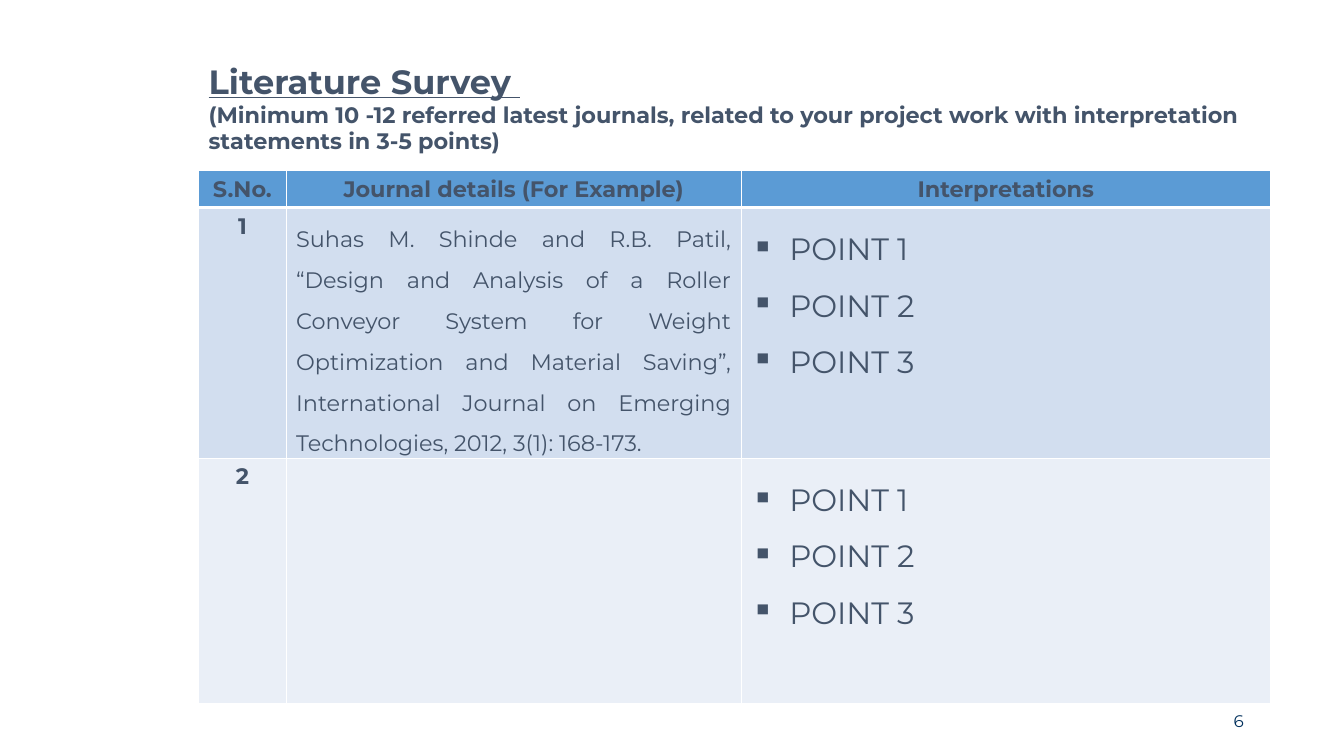
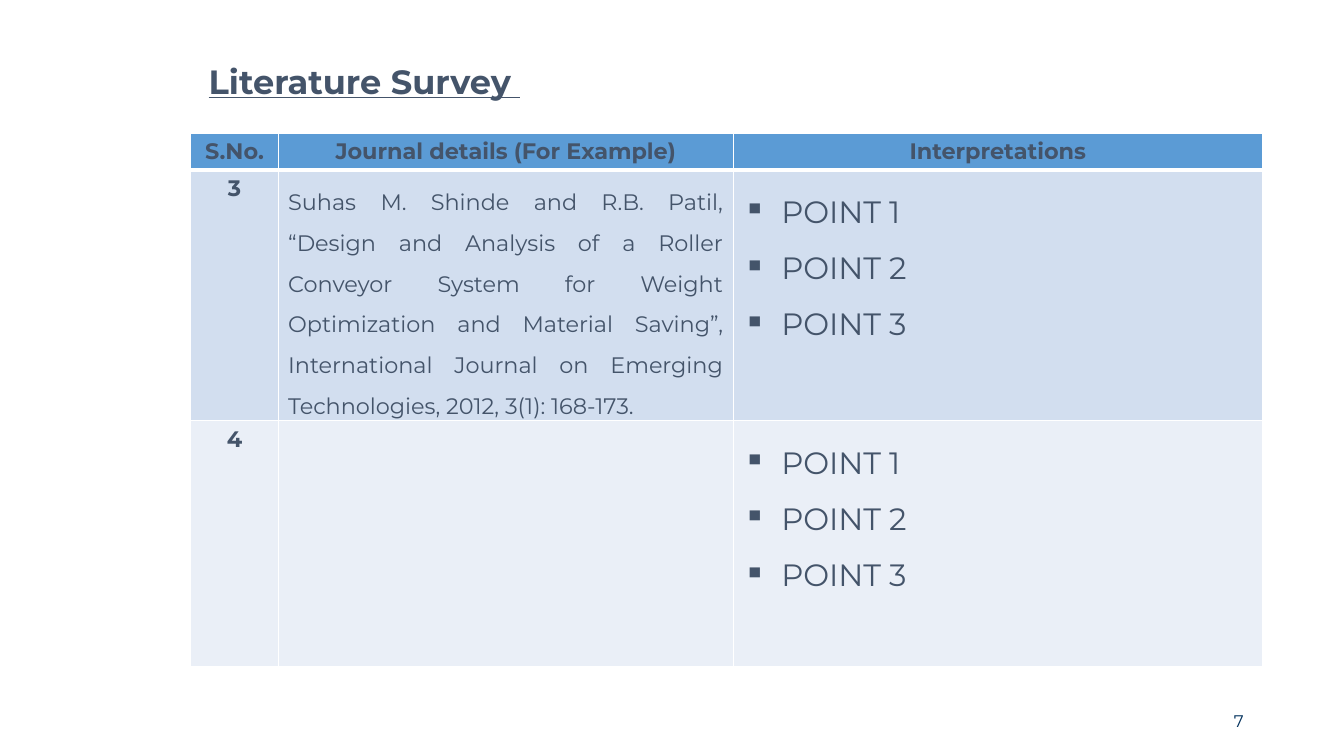
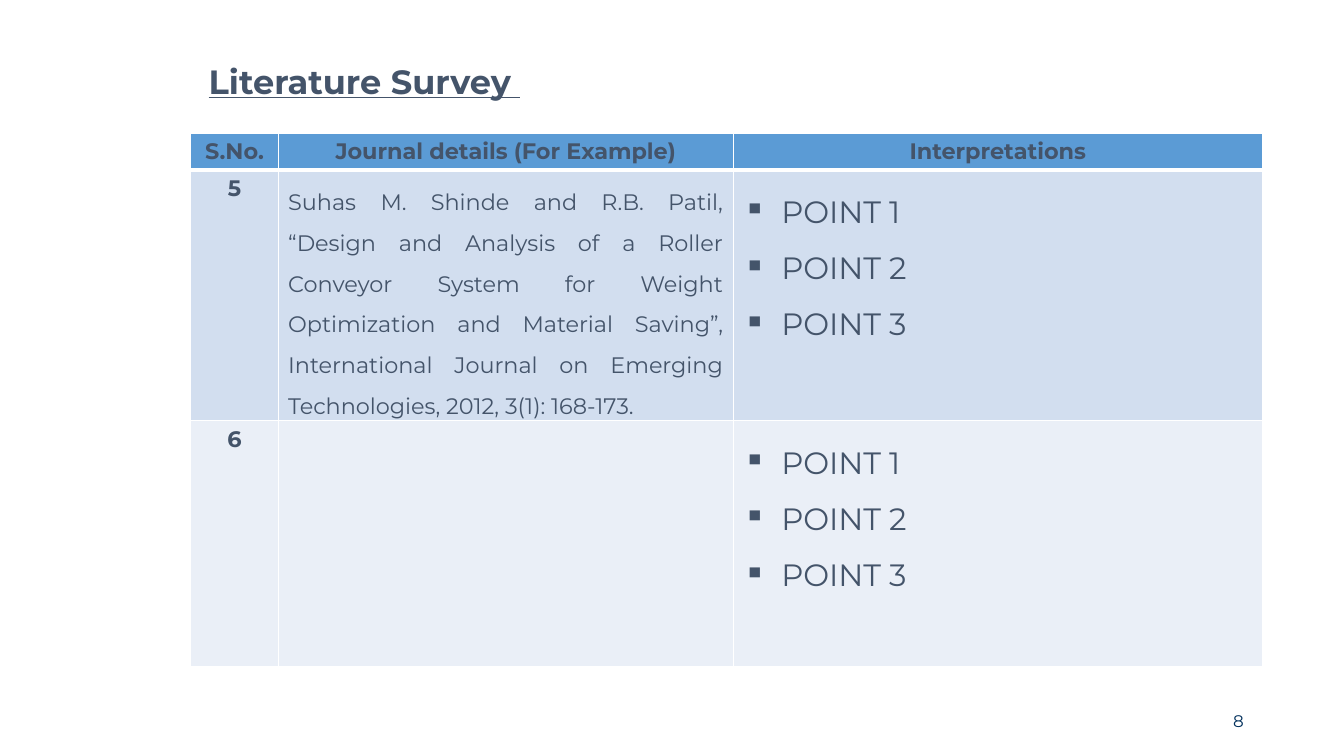
import dataclasses
import typing

import lxml.etree
import pptx
import pptx.dml.color
import pptx.enum.text
import pptx.oxml.ns
import pptx.presentation
import pptx.slide
import pptx.table
import pptx.text.text
import pptx.util

Pt = pptx.util.Pt
Align = pptx.enum.text.PP_ALIGN

FONT = "Montserrat"
INK = "44546A"
PAGE_INK = "00305C"
WHITE = "FFFFFF"
HEADER_FILL = "5B9BD5"
BAND_FILLS = ("D2DEEF", "EAEFF7")

TITLE = "Literature Survey "
HEADINGS = ("S.No.", "Journal details (For Example)", "Interpretations")
POINTS = ("POINT 1", "POINT 2", "POINT 3")
CITATION = (
    "Suhas M. Shinde and R.B. Patil, “Design and Analysis of a Roller Conveyor "
    "System for Weight Optimization and Material Saving”, International Journal "
    "on Emerging Technologies, 2012, 3(1): 168-173."
)
GUIDANCE = (
    "(Minimum 10 -12 referred latest journals, related to your project work "
    "with interpretation statements in 3-5 points)"
)

TEXT_LEFT = 142
TEXT_WIDTH = 753.5
COLUMN_WIDTHS = (62.4, 325.2, 377.8)
ROW_HEIGHTS = (26.5, 179.2, 175.4)
BULLET_INDENT = 27
THIN, THICK = 1, 3


@dataclasses.dataclass(frozen=True)
class TextStyle:
    size: float
    color: str = INK
    bold: bool = False
    underline: bool = False
    align: Align = Align.LEFT
    spacing: float = 1.0
    bullet: bool = False


@dataclasses.dataclass(frozen=True)
class SurveyPage:
    number: int
    first_entry: int
    table_left: float
    table_top: float
    guidance: str = ""


TITLE_STYLE = TextStyle(24, bold=True, underline=True, spacing=2.0)
GUIDANCE_STYLE = TextStyle(16, bold=True)
PAGE_STYLE = TextStyle(12, PAGE_INK, align=Align.RIGHT)
LABEL_STYLE = TextStyle(16, bold=True, align=Align.CENTER)
CITATION_STYLE = TextStyle(16, align=Align.JUSTIFY, spacing=1.5)
POINT_STYLE = TextStyle(22, spacing=1.5, bullet=True)

PAGES = (
    SurveyPage(6, 1, 142, 121.7, GUIDANCE),
    SurveyPage(7, 3, 136.3, 95),
    SurveyPage(8, 5, 136.3, 95),
)

Line = typing.Tuple[str, TextStyle]


def rgb(color: str) -> pptx.dml.color.RGBColor:
    return pptx.dml.color.RGBColor.from_string(color)


def add_child(parent: typing.Any, tag: str, **attributes: str) -> typing.Any:
    return lxml.etree.SubElement(parent, pptx.oxml.ns.qn(tag), attributes)


def write_lines(frame: pptx.text.text.TextFrame, lines: typing.Sequence[Line]) -> None:
    for index, (text, style) in enumerate(lines):
        paragraph = frame.paragraphs[0] if index == 0 else frame.add_paragraph()
        paragraph.alignment = style.align
        paragraph.line_spacing = style.spacing
        if style.bullet:
            properties = paragraph._p.get_or_add_pPr()
            indent = Pt(BULLET_INDENT)
            properties.set("marL", str(indent))
            properties.set("indent", str(-indent))
            add_child(properties, "a:buChar", char="▪")
        run = paragraph.add_run()
        run.text = text
        run.font.name = FONT
        run.font.size = Pt(style.size)
        run.font.bold = style.bold
        run.font.underline = style.underline
        run.font.color.rgb = rgb(style.color)


def add_text(
    slide: pptx.slide.Slide,
    left: float,
    top: float,
    width: float,
    height: float,
    lines: typing.Sequence[Line],
) -> pptx.text.text.TextFrame:
    frame = slide.shapes.add_textbox(Pt(left), Pt(top), Pt(width), Pt(height)).text_frame
    frame.word_wrap = True
    write_lines(frame, lines)
    return frame


def fill_cell(
    cell: pptx.table._Cell, fill: str, top: float, bottom: float, lines: typing.Sequence[Line]
) -> None:
    properties = cell._tc.get_or_add_tcPr()
    sides = (("a:lnL", THIN), ("a:lnR", THIN), ("a:lnT", top), ("a:lnB", bottom))
    for tag, width in sides:
        border = add_child(properties, tag, w=str(Pt(width)))
        add_child(add_child(border, "a:solidFill"), "a:srgbClr", val=WHITE)
    cell.fill.solid()
    cell.fill.fore_color.rgb = rgb(fill)
    cell.margin_bottom = Pt(0) if (CITATION, CITATION_STYLE) in lines else Pt(3.6)
    write_lines(cell.text_frame, lines)


def add_survey_table(slide: pptx.slide.Slide, page: SurveyPage) -> None:
    table = slide.shapes.add_table(
        len(ROW_HEIGHTS),
        len(COLUMN_WIDTHS),
        Pt(page.table_left),
        Pt(page.table_top),
        Pt(sum(COLUMN_WIDTHS)),
        Pt(sum(ROW_HEIGHTS)),
    ).table
    table.horz_banding = False
    for column, width in zip(table.columns, COLUMN_WIDTHS):
        column.width = Pt(width)
    for row, height in zip(table.rows, ROW_HEIGHTS):
        row.height = Pt(height)

    for column, heading in enumerate(HEADINGS):
        fill_cell(table.cell(0, column), HEADER_FILL, THIN, THICK, [(heading, LABEL_STYLE)])
    points = [(point, POINT_STYLE) for point in POINTS]
    for entry, fill in enumerate(BAND_FILLS):
        label = [(str(page.first_entry + entry), LABEL_STYLE)]
        journal = [(CITATION, CITATION_STYLE)] if entry == 0 else []
        top = THICK if entry == 0 else THIN
        for column, lines in enumerate((label, journal, points)):
            fill_cell(table.cell(entry + 1, column), fill, top, THIN, lines)


def add_survey_slide(deck: pptx.presentation.Presentation, page: SurveyPage) -> None:
    slide = deck.slides.add_slide(deck.slide_layouts[6])
    number = add_text(slide, 679.5, 500.5, 216, 28.8, [(str(page.number), PAGE_STYLE)])
    number.vertical_anchor = pptx.enum.text.MSO_ANCHOR.MIDDLE
    heading = [(TITLE, TITLE_STYLE)]
    if page.guidance:
        heading.append((page.guidance, GUIDANCE_STYLE))
    title = add_text(
        slide, TEXT_LEFT, 10.8, TEXT_WIDTH, 104.4 if page.guidance else 56.9, heading
    )
    title.auto_size = pptx.enum.text.MSO_AUTO_SIZE.SHAPE_TO_FIT_TEXT
    add_survey_table(slide, page)


def main() -> None:
    deck = pptx.Presentation()
    deck.slide_width, deck.slide_height = Pt(960), Pt(540)
    for page in PAGES:
        add_survey_slide(deck, page)
    deck.save("out.pptx")


if __name__ == "__main__":
    main()
